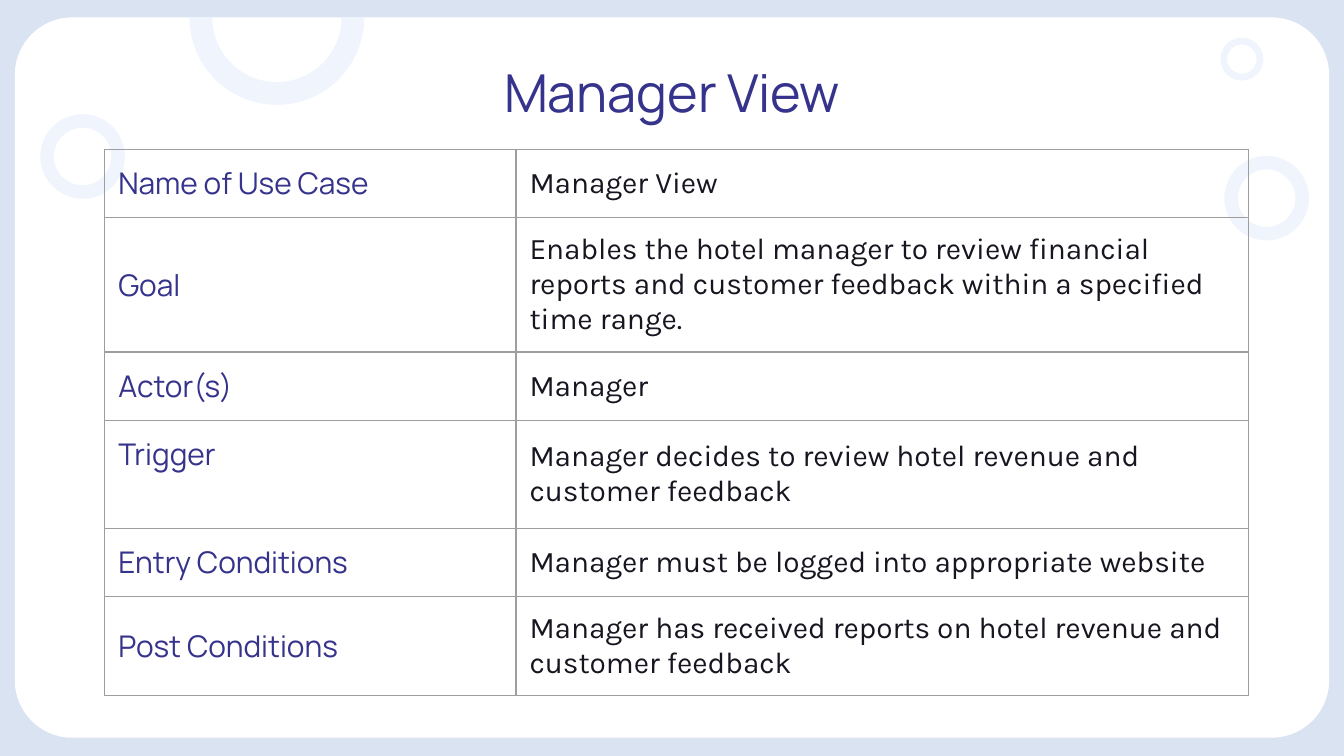
from dataclasses import dataclass

from lxml import etree
from pptx import Presentation
from pptx.dml.color import RGBColor
from pptx.enum.shapes import MSO_SHAPE
from pptx.enum.text import MSO_ANCHOR, PP_ALIGN
from pptx.oxml.ns import qn
from pptx.util import Inches, Pt

ROUNDED = MSO_SHAPE.ROUNDED_RECTANGLE
DONUT = MSO_SHAPE.DONUT
ARC = MSO_SHAPE.BLOCK_ARC
MIDDLE, TOP = MSO_ANCHOR.MIDDLE, MSO_ANCHOR.TOP
CENTER, LEFT = PP_ALIGN.CENTER, PP_ALIGN.LEFT


@dataclass(frozen=True)
class Theme:
    background: str = "DAE3F2"
    panel: str = "FFFFFF"
    ring: str = "F0F5FD"
    heading: str = "36338C"
    body: str = "161620"
    border: str = "9E9E9E"
    heading_font: str = "Manrope"
    body_font: str = "Karla"
    title_size: int = 28
    table_size: int = 16
    border_width: float = 0.75
    inset: float = 0.1


@dataclass(frozen=True)
class Decoration:
    kind: MSO_SHAPE
    left: float
    top: float
    width: float
    height: float
    color: str
    adjustments: tuple
    rotation: float = 0


@dataclass(frozen=True)
class UseCaseRow:
    label: str
    text: str
    height: float = 0.51
    label_anchor: MSO_ANCHOR = MIDDLE


THEME = Theme()


def ring(left: float, top: float, size: float) -> Decoration:
    return Decoration(DONUT, left, top, size, size, THEME.ring, (0.16,))


DECORATIONS = [
    Decoration(ROUNDED, 0.11, 0.13, 9.78, 5.36, THEME.panel, (0.08,)),
    ring(0.3, 0.85, 0.63),
    ring(9.08, 0.28, 0.32),
    ring(9.11, 1.16, 0.63),
    Decoration(ARC, 1.41, -0.52, 1.3, 1.3, THEME.ring, (102.48, 210.58, 0.13), 189.3),
]
COLUMN_WIDTHS = (3.06, 5.45)
ROWS = [
    UseCaseRow("Name of Use Case", "Manager View"),
    UseCaseRow("Goal", "Enables the hotel manager to review financial reports and "
               "customer feedback within a specified time range.", 0.98),
    UseCaseRow("Actor(s)", "Manager"),
    UseCaseRow("Trigger", "Manager decides to review hotel revenue and customer feedback",
               0.8, TOP),
    UseCaseRow("Entry Conditions", "Manager must be logged into appropriate website"),
    UseCaseRow("Post Conditions", "Manager has received reports on hotel revenue and "
               "customer feedback", 0.71),
]


def add_decoration(slide, item: Decoration) -> None:
    sp = slide.shapes.add_shape(item.kind, Inches(item.left), Inches(item.top),
                                Inches(item.width), Inches(item.height))
    for i, value in enumerate(item.adjustments):
        sp.adjustments[i] = value
    sp.rotation = item.rotation
    sp.fill.solid()
    sp.fill.fore_color.rgb = RGBColor.from_string(item.color)
    sp.line.fill.background()
    sp.shadow.inherit = False


def write_text(box, tf, text: str, font: str, size: int, color: str,
               anchor: MSO_ANCHOR = MIDDLE, align: PP_ALIGN = LEFT) -> None:
    """Fill tf with one run; box is the cell or text frame that holds the margins."""
    box.margin_left = box.margin_right = Inches(THEME.inset)
    box.margin_top = box.margin_bottom = Inches(THEME.inset)
    box.vertical_anchor = anchor
    tf.word_wrap = True
    p = tf.paragraphs[0]
    p.alignment = align
    r = p.add_run()
    r.text = text
    r.font.name = font
    r.font.size = Pt(size)
    r.font.color.rgb = RGBColor.from_string(color)


def add_title(slide, text: str) -> None:
    sp = slide.shapes.add_textbox(Inches(0.78), Inches(0.37), Inches(8.44), Inches(0.63))
    write_text(sp.text_frame, sp.text_frame, text, THEME.heading_font,
               THEME.title_size, THEME.heading, align=CENTER)


def set_borders(cell) -> None:
    props = cell._tc.get_or_add_tcPr()
    for i, side in enumerate(("lnL", "lnR", "lnT", "lnB")):
        line = etree.Element(qn(f"a:{side}"), w=str(Pt(THEME.border_width)))
        fill = etree.SubElement(line, qn("a:solidFill"))
        etree.SubElement(fill, qn("a:srgbClr"), val=THEME.border)
        props.insert(i, line)


def add_use_case_table(slide, rows: list[UseCaseRow]) -> None:
    frame = slide.shapes.add_table(len(rows), len(COLUMN_WIDTHS), Inches(0.78), Inches(1.11),
                                   Inches(sum(COLUMN_WIDTHS)),
                                   Inches(sum(row.height for row in rows)))
    table = frame.table
    table.first_row = table.horz_banding = False
    for column, width in zip(table.columns, COLUMN_WIDTHS):
        column.width = Inches(width)
    for i, row in enumerate(rows):
        table.rows[i].height = Inches(row.height)
        label, detail = table.cell(i, 0), table.cell(i, 1)
        write_text(label, label.text_frame, row.label, THEME.heading_font,
                   THEME.table_size, THEME.heading, row.label_anchor)
        write_text(detail, detail.text_frame, row.text, THEME.body_font,
                   THEME.table_size, THEME.body)
        for cell in (label, detail):
            cell.fill.background()
            set_borders(cell)


def main() -> None:
    prs = Presentation()
    prs.slide_width = Inches(10)
    prs.slide_height = prs.slide_width * 9 // 16
    slide = prs.slides.add_slide(prs.slide_layouts[6])
    slide.background.fill.solid()
    slide.background.fill.fore_color.rgb = RGBColor.from_string(THEME.background)
    for item in DECORATIONS:
        add_decoration(slide, item)
    add_title(slide, "Manager View")
    add_use_case_table(slide, ROWS)
    prs.save("out.pptx")


if __name__ == "__main__":
    main()
